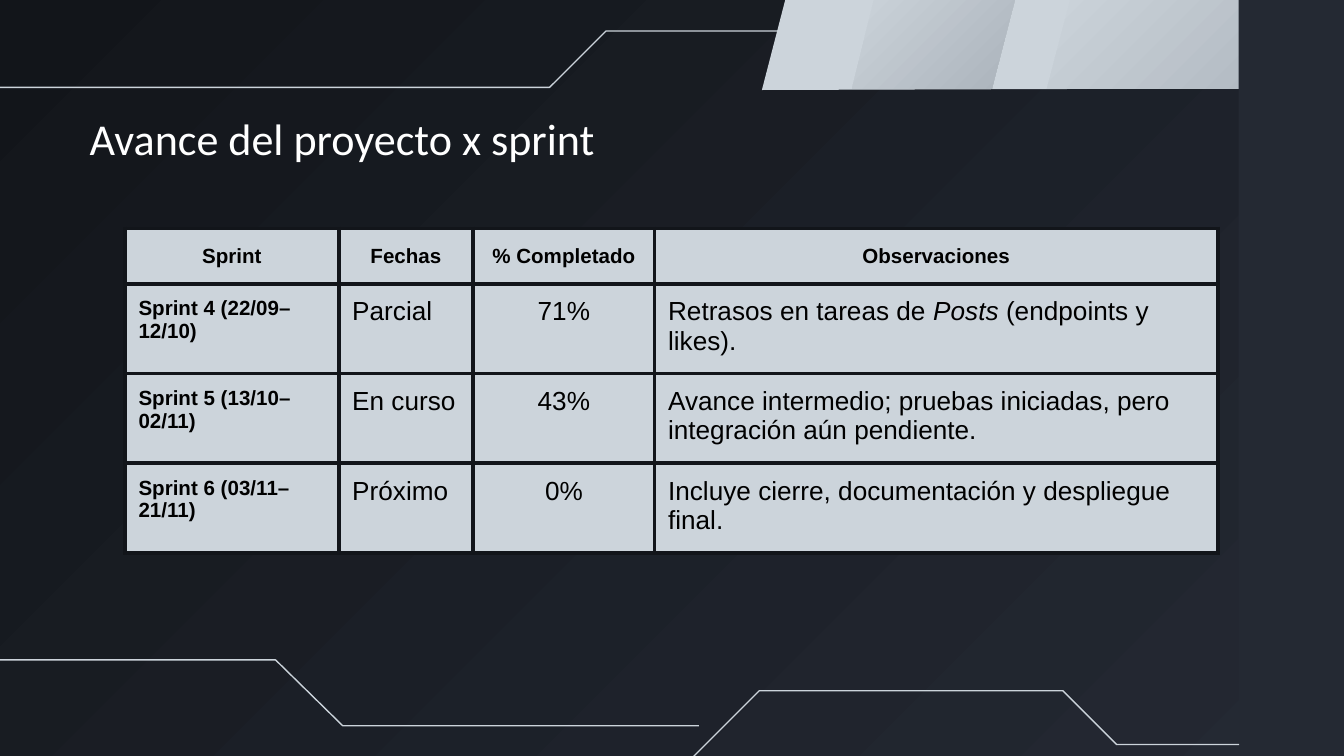
from lxml.etree import SubElement
from pptx import Presentation
from pptx.dml.color import RGBColor
from pptx.enum.shapes import MSO_SHAPE
from pptx.enum.text import MSO_ANCHOR, PP_ALIGN
from pptx.oxml.ns import qn
from pptx.util import Pt

INK = RGBColor(0x12, 0x15, 0x1A)
SLATE = RGBColor(0x24, 0x29, 0x33)
SILVER = RGBColor(0xCC, 0xD4, 0xDB)
STEEL = RGBColor(0xAB, 0xB3, 0xBB)
WHITE = RGBColor(0xFF, 0xFF, 0xFF)
BLACK = RGBColor(0, 0, 0)

WIDTH, HEIGHT = 720, 405
INSET = 7.2

TITLE = "Avance del proyecto x sprint"
HEADERS = ["Sprint", "Fechas", "% Completado", "Observaciones"]
SPRINTS = [
    ("Sprint 4 (22/09–12/10)", "Parcial", "71%",
     ["Retrasos en tareas de ", ("Posts", "italic"), " (endpoints y likes)."]),
    ("Sprint 5 (13/10–02/11)", "En curso", "43%",
     "Avance intermedio; pruebas iniciadas, pero integración aún pendiente."),
    ("Sprint 6 (03/11–21/11)", "Próximo", "0%",
     "Incluye cierre, documentación y despliegue final."),
]
TABLE_LEFT, TABLE_TOP = 67, 122.4
COLUMN_WIDTHS = [114.5, 72, 97.2, 301.7]
HEADER_HEIGHT, ROW_HEIGHT = 28, 45.7

TOP_LINE = [(-2, 46.8), (294.5, 46.8), (324.7, 16.6), (663, 16.6)]
BANNER = [(422, -5), (408.2, 48.2), (718.6, 47.2), (720, -4.3)]
BANNER_FACETS = [
    [(469.4, -5), (456.5, 47.5), (531.4, 47.5), (545, -5)],
    [(574.6, -5), (560.9, 47.5), (720, 47.5), (720.7, -5)],
]
BOTTOM_LINES = [
    [(663.8, 398.9), (598.3, 398.9), (569.5, 370.1), (406.8, 370.1),
     (363.6, 413.3), (222.5, 413.3)],
    [(374.4, 388.8), (183.6, 388.8), (147.6, 353.5), (-46.8, 353.5)],
]


def fill_gradient(fill, start, end):
    """Run a gradient from the top left to the bottom right."""
    fill.gradient()
    fill.gradient_angle = 315
    for stop, color in zip(fill.gradient_stops, (start, end)):
        stop.color.rgb = color


def add_outline(slide, points, closed):
    (left, top), *others = [(Pt(x), Pt(y)) for x, y in points]
    builder = slide.shapes.build_freeform(left, top)
    builder.add_line_segments(others, close=closed)
    shape = builder.convert_to_shape()
    shape.shadow.inherit = False
    return shape


def add_circuit_line(slide, points):
    shape = add_outline(slide, points, closed=False)
    shape.fill.background()
    shape.line.color.rgb = SILVER
    shape.line.width = Pt(0.75)


def add_panel(slide, points, end=None):
    shape = add_outline(slide, points, closed=True)
    shape.line.fill.background()
    if end is None:
        shape.fill.solid()
        shape.fill.fore_color.rgb = SILVER
    else:
        fill_gradient(shape.fill, SILVER, end)


def write_text(frame, text, size=14, font="Arial", color=BLACK, bold=False,
               align=PP_ALIGN.LEFT, line_spacing=1.0, space_before=0):
    """Write a string, or a list of strings and (string, "italic") pairs."""
    frame.word_wrap = True
    paragraph = frame.paragraphs[0]
    paragraph.alignment = align
    paragraph.line_spacing = line_spacing
    paragraph.space_before = Pt(space_before)
    for part in [text] if isinstance(text, str) else text:
        run = paragraph.add_run()
        italic = not isinstance(part, str)
        run.text = part[0] if italic else part
        run.font.size = Pt(size)
        run.font.name = font
        run.font.color.rgb = color
        run.font.bold = bold
        run.font.italic = italic


def set_insets(target):
    for side in ("left", "right", "top", "bottom"):
        setattr(target, f"margin_{side}", Pt(INSET))


def style_cell(cell):
    set_insets(cell)
    properties = cell._tc.get_or_add_tcPr()
    for tag in ("a:lnL", "a:lnR", "a:lnT", "a:lnB"):
        border = SubElement(properties, qn(tag), w=str(Pt(2.25)))
        solid = SubElement(border, qn("a:solidFill"))
        SubElement(solid, qn("a:srgbClr"), val=str(INK))
    cell.fill.solid()
    cell.fill.fore_color.rgb = SILVER


def add_sprint_table(slide):
    heights = [HEADER_HEIGHT] + [ROW_HEIGHT] * len(SPRINTS)
    table = slide.shapes.add_table(
        len(heights), len(HEADERS), Pt(TABLE_LEFT), Pt(TABLE_TOP),
        Pt(sum(COLUMN_WIDTHS)), Pt(sum(heights))).table
    for column, width in zip(table.columns, COLUMN_WIDTHS):
        column.width = Pt(width)
    for row, height in zip(table.rows, heights):
        row.height = Pt(height)
    for i, texts in enumerate([HEADERS, *SPRINTS]):
        for j, text in enumerate(texts):
            cell = table.cell(i, j)
            style_cell(cell)
            header = i == 0
            label = header or j == 0
            centered = header or j == 2
            write_text(cell.text_frame, text, size=11 if label else 14, bold=label,
                       align=PP_ALIGN.CENTER if centered else PP_ALIGN.LEFT,
                       line_spacing=1.15 if header else 1.0)


def add_title(slide):
    box = slide.shapes.add_textbox(Pt(41), Pt(20.2), Pt(551.5), Pt(93.6))
    set_insets(box.text_frame)
    box.text_frame.vertical_anchor = MSO_ANCHOR.MIDDLE
    write_text(box.text_frame, TITLE, size=23.6, font="Calibri", color=WHITE,
               line_spacing=1.5, space_before=6.4)


def add_side_band(slide):
    left = 663.5
    band = slide.shapes.add_shape(MSO_SHAPE.RECTANGLE, Pt(left), 0,
                                  Pt(WIDTH - left), Pt(HEIGHT))
    band.shadow.inherit = False
    band.fill.solid()
    band.fill.fore_color.rgb = SLATE
    band.line.fill.background()


def main():
    presentation = Presentation()
    presentation.slide_width, presentation.slide_height = Pt(WIDTH), Pt(HEIGHT)
    slide = presentation.slides.add_slide(presentation.slide_layouts[6])
    fill_gradient(slide.background.fill, INK, SLATE)
    add_circuit_line(slide, TOP_LINE)
    add_panel(slide, BANNER)
    for facet in BANNER_FACETS:
        add_panel(slide, facet, end=STEEL)
    add_title(slide)
    add_side_band(slide)
    for points in BOTTOM_LINES:
        add_circuit_line(slide, points)
    add_sprint_table(slide)
    presentation.save("out.pptx")


if __name__ == "__main__":
    main()
